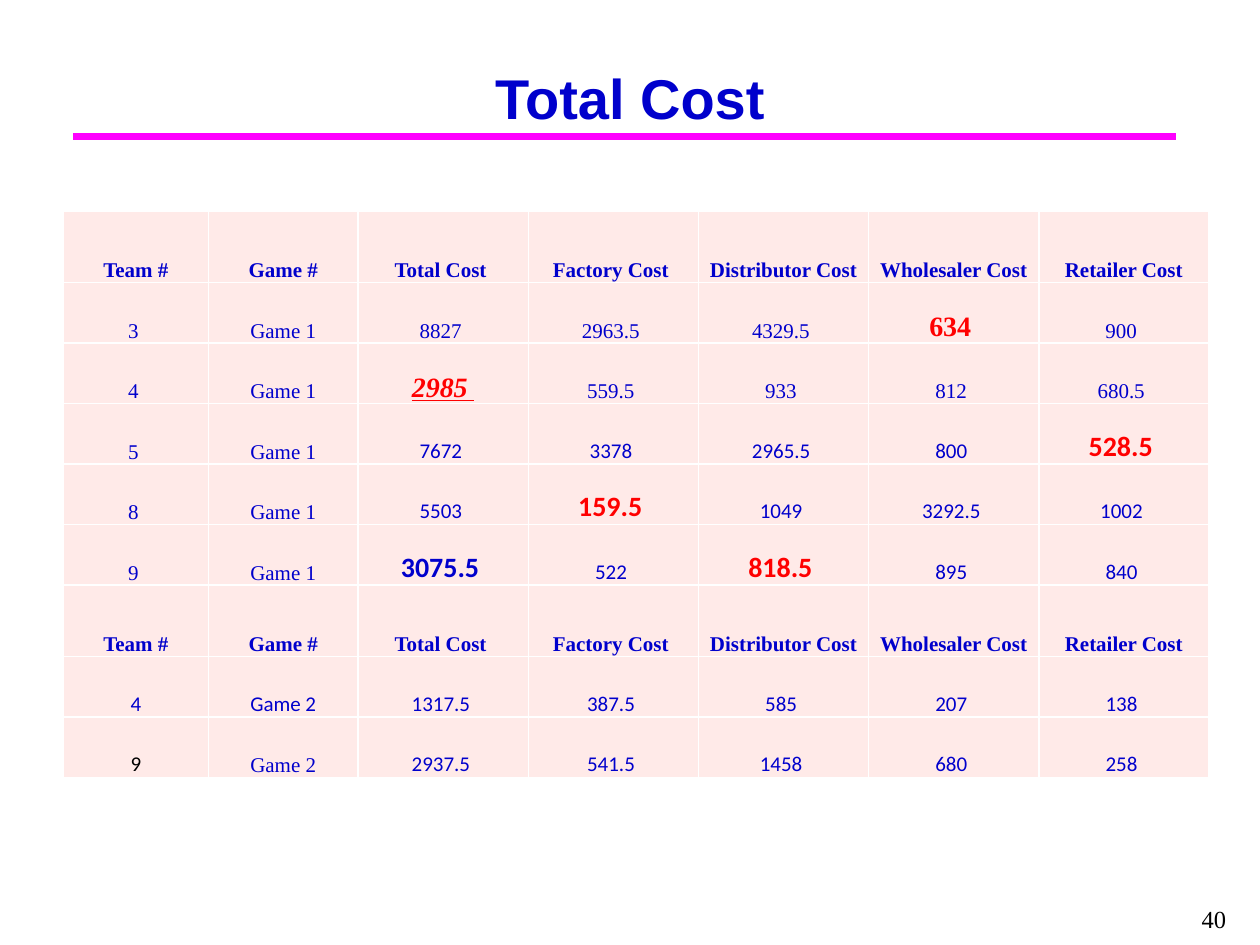
from lxml import etree
from pptx import Presentation
from pptx.dml.color import RGBColor
from pptx.enum.shapes import MSO_CONNECTOR
from pptx.enum.text import MSO_ANCHOR, MSO_AUTO_SIZE, PP_ALIGN
from pptx.oxml.ns import qn
from pptx.util import Cm, Pt

STRAIGHT = MSO_CONNECTOR.STRAIGHT
BOTTOM, MIDDLE = MSO_ANCHOR.BOTTOM, MSO_ANCHOR.MIDDLE
NO_AUTOFIT = MSO_AUTO_SIZE.NONE
CENTER, RIGHT = PP_ALIGN.CENTER, PP_ALIGN.RIGHT

BLUE = RGBColor(0x00, 0x00, 0xCC)
RED = RGBColor(0xFF, 0x00, 0x00)
MAGENTA = RGBColor(0xFF, 0x00, 0xFF)
PINK = RGBColor(0xFF, 0xEA, 0xE8)
WHITE = RGBColor(0xFF, 0xFF, 0xFF)
BLACK = RGBColor(0x00, 0x00, 0x00)
SERIF, SANS, TITLE_FONT = "Times New Roman", "Calibri", "Arial"

# Cost figures, team numbers and two headings end in a no-break space.
HEADINGS = ["Team #", "Game #", "Total Cost ", "Factory Cost ",
            "Distributor Cost", "Wholesaler Cost", "Retailer Cost"]
ROWS = [
    HEADINGS,
    ["3 ", "Game 1", "8827 ", "2963.5 ", "4329.5 ", "634 ", "900 "],
    ["4 ", "Game 1", "2985 ", "559.5 ", "933 ", "812 ", "680.5 "],
    ["5 ", "Game 1", "7672 ", "3378 ", "2965.5 ", "800 ", "528.5 "],
    ["8 ", "Game 1", "5503 ", "159.5 ", "1049 ", "3292.5 ", "1002 "],
    ["9 ", "Game 1", "3075.5 ", "522 ", "818.5 ", "895 ", "840 "],
    HEADINGS,
    ["4", "Game 2", "1317.5 ", "387.5 ", "585 ", "207 ", "138 "],
    ["9", "Game 2", "2937.5 ", "541.5 ", "1458 ", "680 ", "258 "],
]
SANS_COST_ROWS = {3, 4, 5, 7, 8}
BEST = {"size": 16, "bold": True, "color": RED}
SPECIAL_FORMATS = {
    (1, 5): BEST,
    (2, 2): {**BEST, "italic": True, "underline": True},
    (3, 6): BEST,
    (4, 3): BEST,
    (5, 2): {**BEST, "color": BLUE},
    (5, 4): BEST,
    (7, 0): {"name": SANS},
    (7, 1): {"name": SANS},
    (8, 0): {"name": SANS, "color": BLACK},
}
COLUMN_WIDTHS = [2.92, 3.02] + [3.43] * 5
HEADING_HEIGHT, ROW_HEIGHT = 1.44, 1.22


def write_text(frame, text, name=SERIF, size=12, color=BLUE, bold=False,
               italic=False, underline=False, align=CENTER):
    para = frame.paragraphs[0]
    para.alignment = align
    span = para.add_run()
    span.text = text
    font = span.font
    font.name, font.size, font.color.rgb = name, Pt(size), color
    font.bold, font.italic, font.underline = bold, italic, underline


def add_title(page, text):
    title = page.shapes.title
    title.left, title.top = Cm(1.9), Cm(0.43)
    title.width, title.height = Cm(21.6), Cm(2.34)
    frame = title.text_frame
    frame.auto_size = NO_AUTOFIT
    frame.vertical_anchor = BOTTOM
    write_text(frame, text, name=TITLE_FONT, size=32, bold=True)


def add_rule(page):
    rule = page.shapes.add_connector(STRAIGHT, Cm(1.48), Cm(2.75),
                                     Cm(23.7), Cm(2.75))
    rule.line.color.rgb = MAGENTA
    rule.line.width = Pt(4)
    etree.SubElement(rule._element.spPr, qn("a:effectLst"))


def add_borders(cell, color, width):
    properties = cell._tc.get_or_add_tcPr()
    for side in ("lnL", "lnR", "lnT", "lnB"):
        line = etree.SubElement(properties, qn(f"a:{side}"), w=str(Pt(width)))
        fill = etree.SubElement(line, qn("a:solidFill"))
        etree.SubElement(fill, qn("a:srgbClr"), val=str(color))


def format_cell(cell):
    cell.vertical_anchor = BOTTOM
    cell.margin_left = cell.margin_right = cell.margin_top = Cm(0.02)
    cell.margin_bottom = 0
    add_borders(cell, WHITE, 1)
    cell.fill.solid()
    cell.fill.fore_color.rgb = PINK


def cell_format(row, column):
    """Return the base format of a cell with its special format on top."""
    is_sans = row in SANS_COST_ROWS and column >= 2
    base = {"name": SANS if is_sans else SERIF,
            "bold": ROWS[row] is HEADINGS}
    return {**base, **SPECIAL_FORMATS.get((row, column), {})}


def add_cost_table(page):
    heights = [HEADING_HEIGHT if values is HEADINGS else ROW_HEIGHT
               for values in ROWS]
    table = page.shapes.add_table(
        len(ROWS), len(HEADINGS), Cm(1.28), Cm(4.25),
        Cm(sum(COLUMN_WIDTHS)), Cm(sum(heights))).table
    table.horz_banding = False
    for column, width in zip(table.columns, COLUMN_WIDTHS):
        column.width = Cm(width)
    for row, (values, height) in enumerate(zip(ROWS, heights)):
        table.rows[row].height = Cm(height)
        for column, text in enumerate(values):
            cell = table.cell(row, column)
            format_cell(cell)
            write_text(cell.text_frame, text, **cell_format(row, column))


def add_page_number(page, number):
    box = page.shapes.add_textbox(Cm(19.69), Cm(17.98), Cm(5.28), Cm(1.07))
    frame = box.text_frame
    frame.word_wrap = True
    frame.vertical_anchor = MIDDLE
    write_text(frame, number, size=14, color=BLACK, align=RIGHT)


def main():
    deck = Presentation()
    deck.slide_width, deck.slide_height = Cm(25.4), Cm(19.05)
    title_only = deck.slide_layouts[5]
    page = deck.slides.add_slide(title_only)
    add_title(page, "Total Cost")
    add_rule(page)
    add_cost_table(page)
    add_page_number(page, "40")
    deck.save("out.pptx")


if __name__ == "__main__":
    main()
